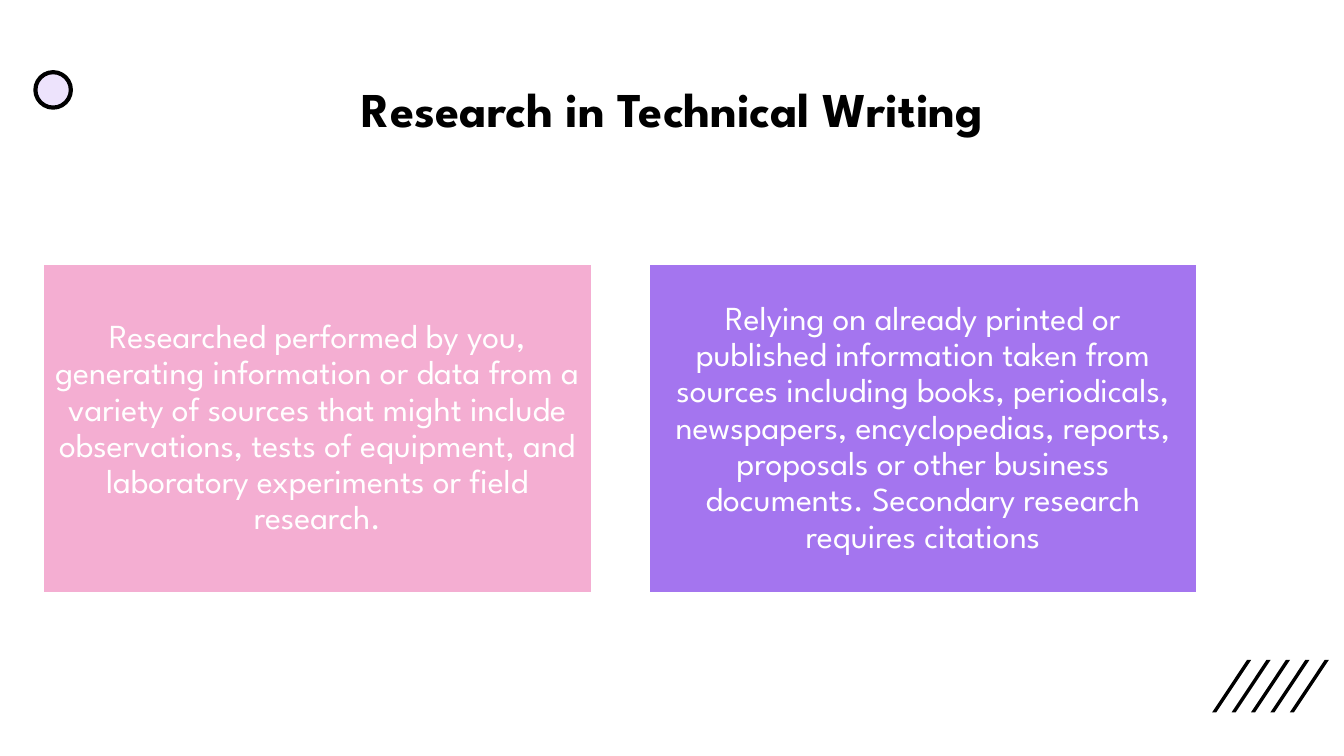
from pptx import Presentation
from pptx.dml.color import RGBColor
from pptx.enum.shapes import MSO_SHAPE
from pptx.enum.text import MSO_ANCHOR, MSO_AUTO_SIZE, PP_ALIGN
from pptx.util import Pt

OVAL, RECTANGLE = MSO_SHAPE.OVAL, MSO_SHAPE.RECTANGLE
MIDDLE, CENTER, NO_FIT = MSO_ANCHOR.MIDDLE, PP_ALIGN.CENTER, MSO_AUTO_SIZE.NONE

FONT = "League Spartan"
TITLE = "Research in Technical Writing"
RESEARCH_KINDS = [
    ("F4AED2", "Researched performed by you, generating information or data "
               "from a variety of sources that might include observations, "
               "tests of equipment, and laboratory experiments or field "
               "research."),
    ("A475EF", "Relying on already printed or published information taken "
               "from sources including books, periodicals, newspapers, "
               "encyclopedias, reports, proposals or other business "
               "documents. Secondary research requires citations"),
]

CARD_LEFT, CARD_TOP, CARD_WIDTH, CARD_HEIGHT, CARD_GAP = 22.5, 141, 295, 177, 29.5
STRIPE_COUNT, STRIPE_LEFT, STRIPE_STEP = 5, 649.4, 10.4
STRIPE_TOP, STRIPE_BOTTOM, STRIPE_WIDTH, STRIPE_SLANT = 353.5, 381.6, 2.2, 18.7


def color(value):
    return RGBColor.from_string(value)


def paint(shape, fill, line=None, width=0):
    shape.shadow.inherit = False
    shape.fill.solid()
    shape.fill.fore_color.rgb = color(fill)
    if line:
        shape.line.color.rgb = color(line)
        shape.line.width = Pt(width)
    else:
        shape.line.fill.background()


def write(shape, text, size, ink, inset, bold=False, spacing=1.0):
    frame = shape.text_frame
    frame.text = text
    frame.word_wrap = True
    frame.auto_size = NO_FIT
    frame.vertical_anchor = MIDDLE
    frame.margin_left = frame.margin_right = Pt(inset)
    frame.margin_top = frame.margin_bottom = Pt(inset)
    paragraph = frame.paragraphs[0]
    paragraph.alignment = CENTER
    paragraph.line_spacing = spacing
    paragraph.space_before = Pt(0)
    paragraph.font.name = FONT
    paragraph.font.size = Pt(size)
    paragraph.font.bold = bold
    paragraph.font.color.rgb = color(ink)


def add_stripe(shapes, left):
    right = left + STRIPE_SLANT
    outline = shapes.build_freeform(Pt(left + STRIPE_WIDTH), Pt(STRIPE_BOTTOM))
    outline.add_line_segments([
        (Pt(left), Pt(STRIPE_BOTTOM)),
        (Pt(right), Pt(STRIPE_TOP)),
        (Pt(right + STRIPE_WIDTH), Pt(STRIPE_TOP)),
    ], close=True)
    paint(outline.convert_to_shape(), "000000")


def main():
    """Build the slide on research in technical writing."""
    deck = Presentation()
    deck.slide_width, deck.slide_height = Pt(720), Pt(405)
    slide = deck.slides.add_slide(deck.slide_layouts[5])
    shapes = slide.shapes

    for index in range(STRIPE_COUNT):
        add_stripe(shapes, STRIPE_LEFT + index * STRIPE_STEP)

    dot = shapes.add_shape(OVAL, Pt(19), Pt(38.7), Pt(19), Pt(19))
    paint(dot, "EDE3FC", "000000", 2.25)

    title = shapes.title
    title.left, title.top, title.width, title.height = Pt(80), Pt(35.5), Pt(561), Pt(45)
    write(title, TITLE, 26, "000000", 7.2, bold=True)

    for index, (fill, description) in enumerate(RESEARCH_KINDS):
        left = CARD_LEFT + index * (CARD_WIDTH + CARD_GAP)
        card = shapes.add_shape(RECTANGLE, Pt(left), Pt(CARD_TOP),
                                Pt(CARD_WIDTH), Pt(CARD_HEIGHT))
        paint(card, fill, "FFFFFF", 2)
        write(card, description, 18, "FFFFFF", 5, spacing=0.9)

    deck.save("out.pptx")


if __name__ == "__main__":
    main()
